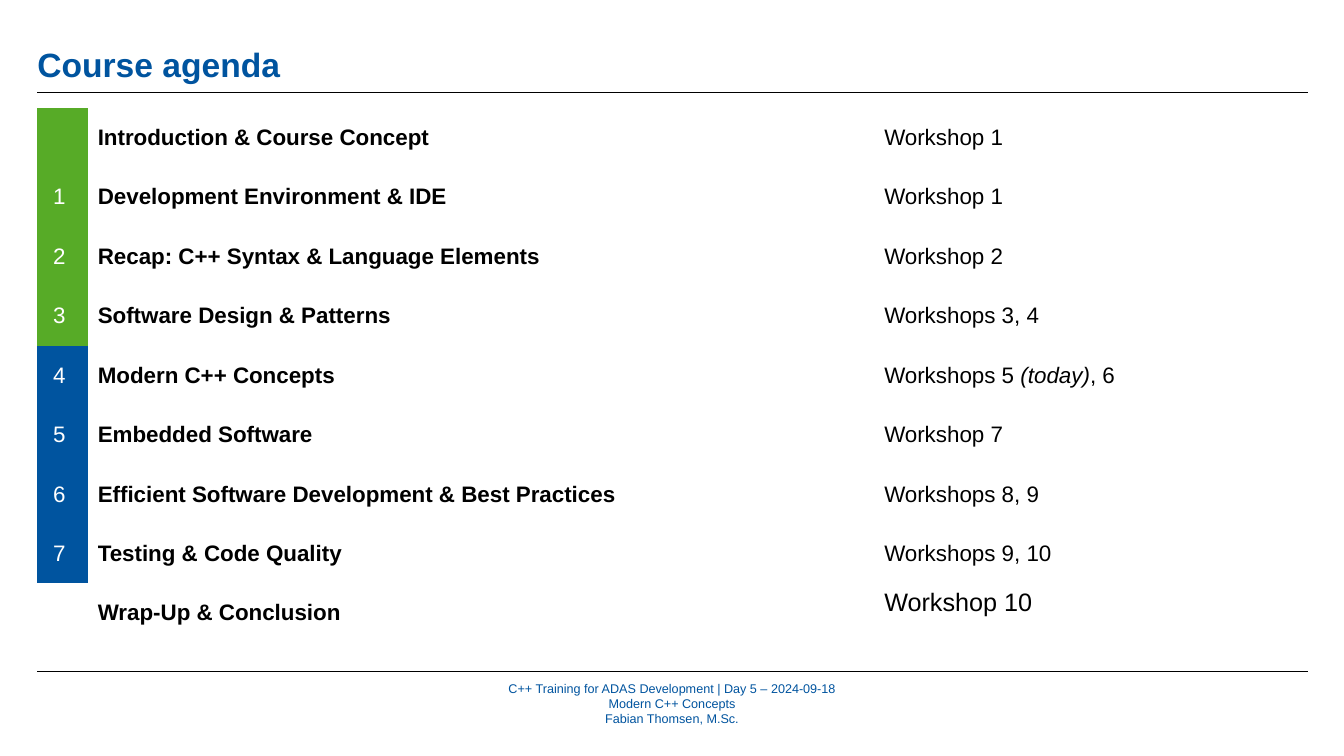
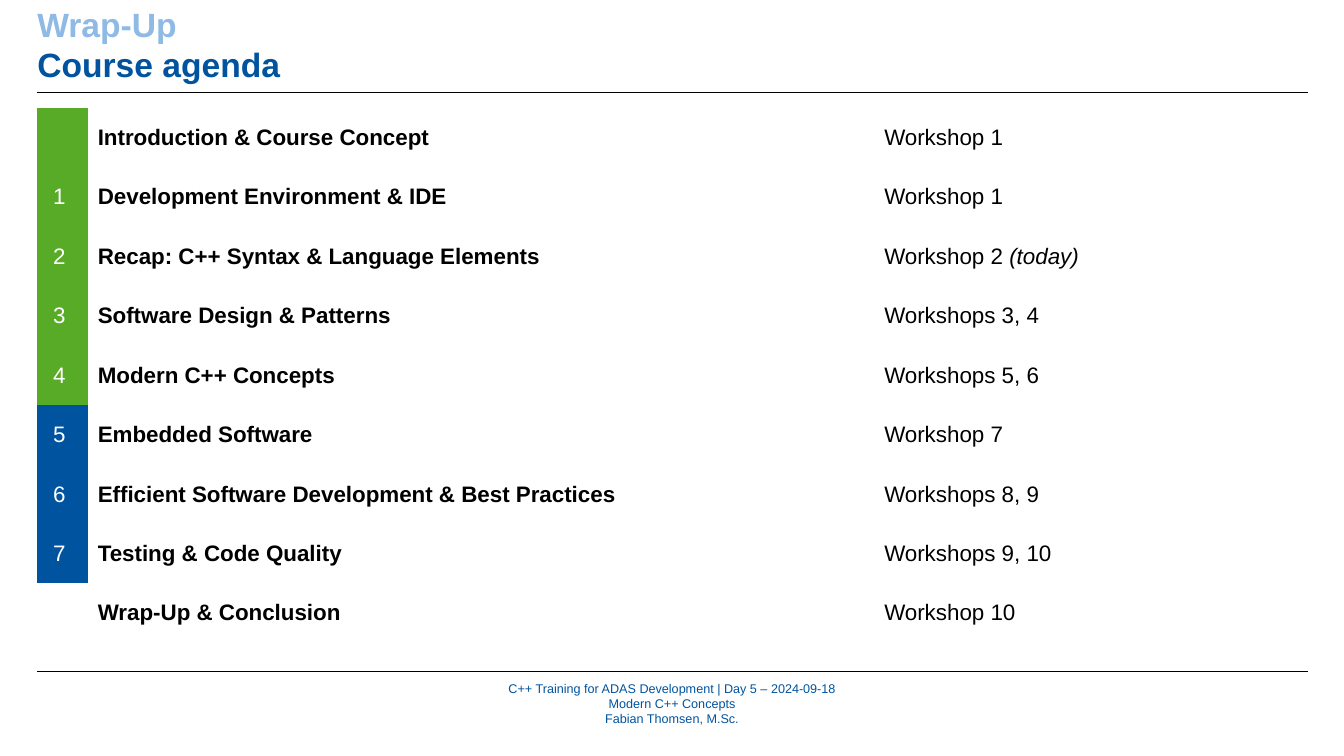
from pptx import Presentation
from pptx.dml.color import RGBColor
from pptx.enum.shapes import MSO_CONNECTOR
from pptx.enum.text import MSO_ANCHOR, MSO_AUTO_SIZE, PP_ALIGN
from pptx.oxml.ns import qn
from pptx.util import Inches, Pt
from lxml.etree import SubElement

# Shared look
BLUE = RGBColor(0x00, 0x54, 0x9F)
LIGHT_BLUE = RGBColor(0x8E, 0xBA, 0xE5)
GREEN = RGBColor(0x57, 0xAB, 0x27)
BLACK = RGBColor(0, 0, 0)
WHITE = RGBColor(0xFF, 0xFF, 0xFF)
FONT = "Arial"
PLAIN_TABLE_STYLE = "{2D5ABB26-0587-4C30-8999-92F81FD0307C}"

SLIDE_WIDTH, SLIDE_HEIGHT = 13.33, 7.5
LEFT, CONTENT_WIDTH = 0.37, 12.6
RULE_HEIGHTS = (0.92, 6.66)
COLUMN_WIDTHS = (0.5, 7.8, 4.3)
TABLE_TOP, ROW_HEIGHT = 1.07, 0.59

# Content
FOOTER = (
    "C++ Training for ADAS Development | Day 5 – 2024-09-18",
    "Modern C++ Concepts",
    "Fabian Thomsen, M.Sc.",
)
TODAY = "(today)"
TOPICS = (
    ("", "Introduction & Course Concept", "Workshop 1"),
    ("1 ", "Development Environment & IDE", "Workshop 1"),
    ("2 ", "Recap: C++ Syntax & Language Elements", "Workshop 2"),
    ("3 ", "Software Design & Patterns", "Workshops 3, 4"),
    ("4 ", "Modern C++ Concepts", "Workshops 5, 6"),
    ("5 ", "Embedded Software", "Workshop 7"),
    ("6 ", "Efficient Software Development & Best Practices", "Workshops 8, 9"),
    ("7 ", "Testing & Code Quality", "Workshops 9, 10"),
    ("", "Wrap-Up & Conclusion", "Workshop 10"),
)
# "done" counts the green rows, "changes" replaces workshop texts by row
AGENDAS = (
    {"title": [("Course agenda", BLUE)], "done": 4,
     "changes": {4: "Workshops 5 (today), 6"}, "large_last": True},
    {"title": [("Wrap-Up", LIGHT_BLUE), ("Course agenda", BLUE)], "done": 5,
     "changes": {2: "Workshop 2 (today)"}, "large_last": False},
)


def add_span(para, text, size, color, bold=False, italic=False):
    span = para.add_run()
    span.text = text
    font = span.font
    font.name, font.size, font.bold, font.italic = FONT, Pt(size), bold, italic
    font.color.rgb = color


def prepare_frame(frame, anchor):
    frame.word_wrap = True
    frame.auto_size = MSO_AUTO_SIZE.NONE
    frame.vertical_anchor = anchor
    frame.margin_left = frame.margin_right = frame.margin_top = frame.margin_bottom = 0


def fill_lines(frame, lines, size, alignment, bold=False):
    for index, (text, color) in enumerate(lines):
        para = frame.paragraphs[0] if index == 0 else frame.add_paragraph()
        para.alignment = alignment
        add_span(para, text, size, color, bold)


def add_title(page, lines):
    title = page.shapes.title
    title.left, title.top = Inches(LEFT), Inches(0.05)
    title.width, title.height = Inches(CONTENT_WIDTH), Inches(0.79)
    prepare_frame(title.text_frame, MSO_ANCHOR.BOTTOM)
    fill_lines(title.text_frame, lines, 24, PP_ALIGN.LEFT, bold=True)


def add_rules_and_footer(page):
    for height in RULE_HEIGHTS:
        rule = page.shapes.add_connector(
            MSO_CONNECTOR.STRAIGHT, Inches(LEFT), Inches(height),
            Inches(LEFT + CONTENT_WIDTH), Inches(height))
        rule.line.color.rgb = BLACK
        rule.line.width = Pt(0.5)
        SubElement(rule._element.spPr, qn("a:effectLst"))
    box = page.shapes.add_textbox(Inches(3.43), Inches(6.75), Inches(6.47), Inches(0.46))
    prepare_frame(box.text_frame, MSO_ANCHOR.MIDDLE)
    fill_lines(box.text_frame, [(line, BLUE) for line in FOOTER], 9, PP_ALIGN.CENTER)


def add_agenda_table(page, agenda):
    table = page.shapes.add_table(
        len(TOPICS), len(COLUMN_WIDTHS), Inches(LEFT), Inches(TABLE_TOP),
        Inches(CONTENT_WIDTH), Inches(ROW_HEIGHT * len(TOPICS))).table
    table.first_row = table.horz_banding = False
    table._tbl.tblPr.find(qn("a:tableStyleId")).text = PLAIN_TABLE_STYLE
    for column, width in zip(table.columns, COLUMN_WIDTHS):
        column.width = Inches(width)

    last = len(TOPICS) - 1
    for row, (number, topic, workshop) in enumerate(TOPICS):
        table.rows[row].height = Inches(ROW_HEIGHT)
        cells = [table.cell(row, column) for column in range(len(COLUMN_WIDTHS))]
        for cell in cells:
            cell.vertical_anchor = MSO_ANCHOR.MIDDLE
            cell.fill.background()
        number_para, topic_para, workshop_para = (
            cell.text_frame.paragraphs[0] for cell in cells)

        # Progress column
        if row < last:
            cells[0].fill.solid()
            cells[0].fill.fore_color.rgb = GREEN if row < agenda["done"] else BLUE
        if number:
            number_para.alignment = PP_ALIGN.CENTER
            add_span(number_para, number, 16, WHITE)

        # Topic and workshop columns
        for para in (topic_para, workshop_para):
            para.space_before = para.space_after = Pt(6)
        add_span(topic_para, topic, 16, BLACK, bold=True)
        large = row == last and agenda["large_last"]
        if large:
            cells[2].vertical_anchor = MSO_ANCHOR.TOP
        for part in agenda["changes"].get(row, workshop).partition(TODAY):
            if part:
                add_span(workshop_para, part, 18 if large else 16, BLACK,
                         italic=part == TODAY)


def main():
    deck = Presentation()
    deck.slide_width, deck.slide_height = Inches(SLIDE_WIDTH), Inches(SLIDE_HEIGHT)
    title_only = deck.slide_layouts[5]
    for agenda in AGENDAS:
        page = deck.slides.add_slide(title_only)
        add_title(page, agenda["title"])
        add_rules_and_footer(page)
        add_agenda_table(page, agenda)
    deck.save("out.pptx")


if __name__ == "__main__":
    main()
